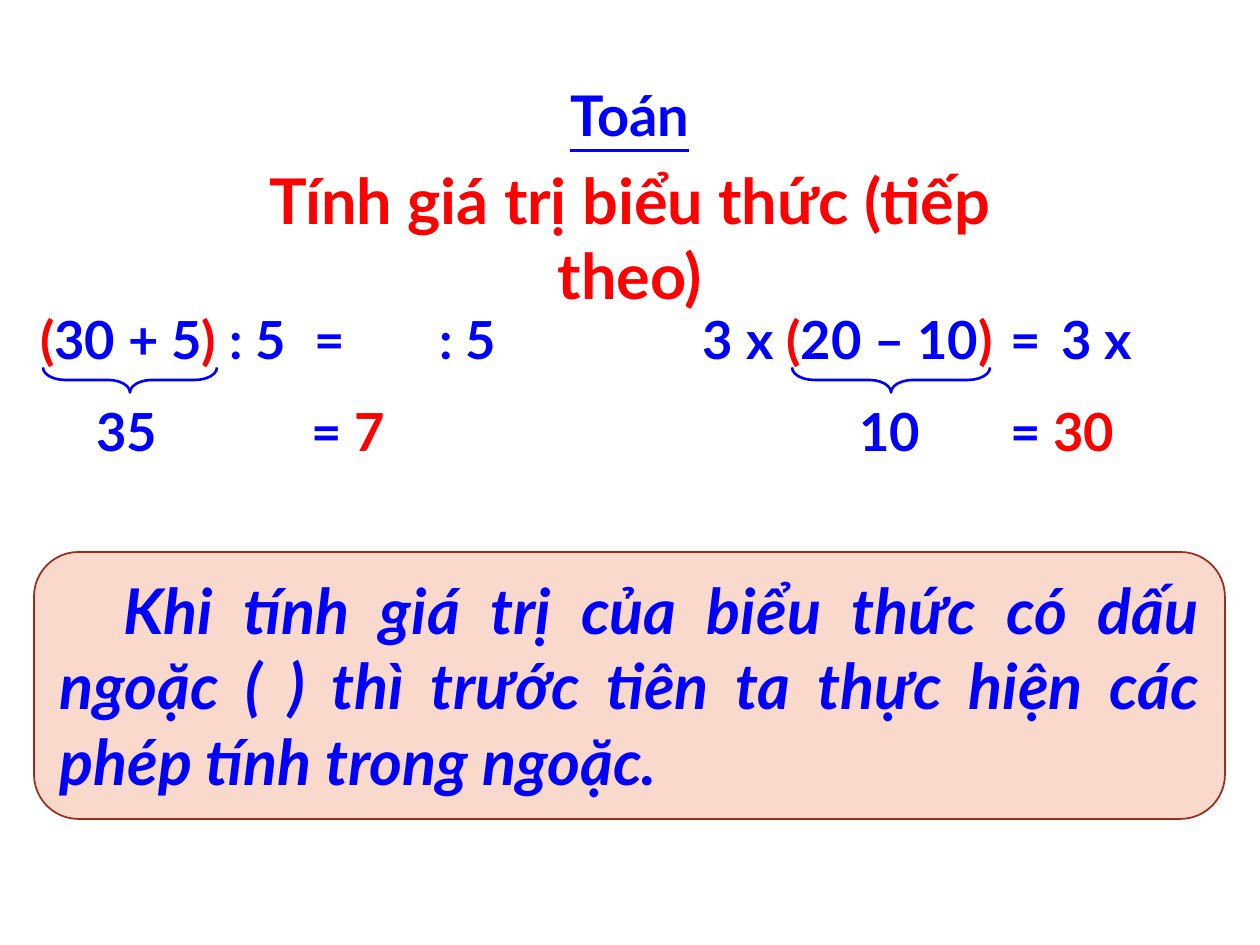
from pptx import Presentation, util as u
from pptx.dml.color import RGBColor
from pptx.enum import shapes, text

PX = u.Inches(1) / 126
COLORS = {"blue": "0000FF", "red": "FF0000", "peach": "FAD9CD", "brown": "9B2D1F"}
FONT = "Lato"
LEFT, CENTER, JUSTIFY = text.PP_ALIGN.LEFT, text.PP_ALIGN.CENTER, text.PP_ALIGN.JUSTIFY

# Content: runs are (text, colour)
SUBJECT = [("Toán", "blue")]
LESSON = [("Tính giá trị biểu thức (tiếp theo)", "red")]
RULE = [("Khi tính giá trị của biểu thức có dấu ngoặc ( ) thì trước tiên "
         "ta thực hiện các phép tính trong ngoặc.", "blue")]

EXPRESSION_Y, RESULT_Y, ROW_H = 301, 393, 77
# Formula parts: left, top, width, alignment, runs
FORMULAS = [
    (5, EXPRESSION_Y, 316, CENTER,
     [("(", "red"), ("30 + 5", "blue"), (")", "red"), (" : 5", "blue")]),
    (302, EXPRESSION_Y, 72, LEFT, [("=", "blue")]),
    (427, EXPRESSION_Y, 232, LEFT, [(": 5", "blue")]),
    (84, RESULT_Y, 88, LEFT, [("35", "blue")]),
    (299, RESULT_Y, 192, LEFT, [("= ", "blue"), ("7", "red")]),
    (658, EXPRESSION_Y, 380, CENTER,
     [("3 x ", "blue"), ("(", "red"), ("20 – 10", "blue"), (")", "red")]),
    (998, EXPRESSION_Y, 72, LEFT, [("=", "blue")]),
    (1049, EXPRESSION_Y, 135, LEFT, [("3 x", "blue")]),
    (847, RESULT_Y, 88, LEFT, [("10", "blue")]),
    (998, RESULT_Y, 192, LEFT, [("= ", "blue"), ("30", "red")]),
]
# Braces under the brackets: centre x, span
BRACES = [(130, 174), (891, 198)]
BRACE_Y, BRACE_DEPTH = 380, 25


def px(*lengths):
    return [u.Emu(round(n * PX)) for n in lengths]


def color(name):
    return RGBColor.from_string(COLORS[name])


def write(shape, runs, size=30, align=LEFT, wrap=True, underline=None, italic=None, indent=0):
    frame = shape.text_frame
    frame.word_wrap = wrap
    frame.vertical_anchor = text.MSO_ANCHOR.TOP
    paragraph = frame.paragraphs[0]
    paragraph.alignment = align
    if indent:
        paragraph._p.get_or_add_pPr().set("indent", str(px(indent)[0]))
    for words, tint in runs:
        run = paragraph.add_run()
        run.text = words
        font = run.font
        font.name, font.size, font.bold = FONT, u.Pt(size), True
        font.underline, font.italic = underline, italic
        font.color.rgb = color(tint)


def add_outline(slide, kind, box, line, width):
    shape = slide.shapes.add_shape(kind, *px(*box))
    shape.shadow.inherit = False
    shape.fill.background()
    shape.line.color.rgb = color(line)
    shape.line.width = u.Pt(width)
    return shape


def main():
    deck = Presentation()
    deck.slide_width, deck.slide_height = px(1260, 945)
    slide = deck.slides.add_slide(deck.slide_layouts[6])

    # Headings
    subject = slide.shapes.add_textbox(*px(0, 74, 1260, 80))
    write(subject, SUBJECT, size=32, align=CENTER, underline=True)
    lesson = slide.shapes.add_textbox(*px(233, 155, 794, 69))
    write(lesson, LESSON, size=36, align=CENTER, wrap=False)

    # Worked examples
    for left, top, width, align, runs in FORMULAS:
        formula = slide.shapes.add_textbox(*px(left, top, width, ROW_H))
        write(formula, runs, align=align)

    # Braces, turned to open upwards
    for center, span in BRACES:
        box = (center - BRACE_DEPTH / 2, BRACE_Y - span / 2, BRACE_DEPTH, span)
        brace = add_outline(slide, shapes.MSO_SHAPE.RIGHT_BRACE, box, "blue", 1.5)
        brace.rotation = 90
        brace.adjustments[0] = 0.875
        brace.adjustments[1] = 0.5

    # Rule
    rule = add_outline(slide, shapes.MSO_SHAPE.ROUNDED_RECTANGLE,
                       (34, 552, 1191, 267), "brown", 1)
    rule.fill.solid()
    rule.fill.fore_color.rgb = color("peach")
    write(rule, RULE, size=36, align=JUSTIFY, italic=True, indent=64)

    deck.save("out.pptx")


if __name__ == "__main__":
    main()
